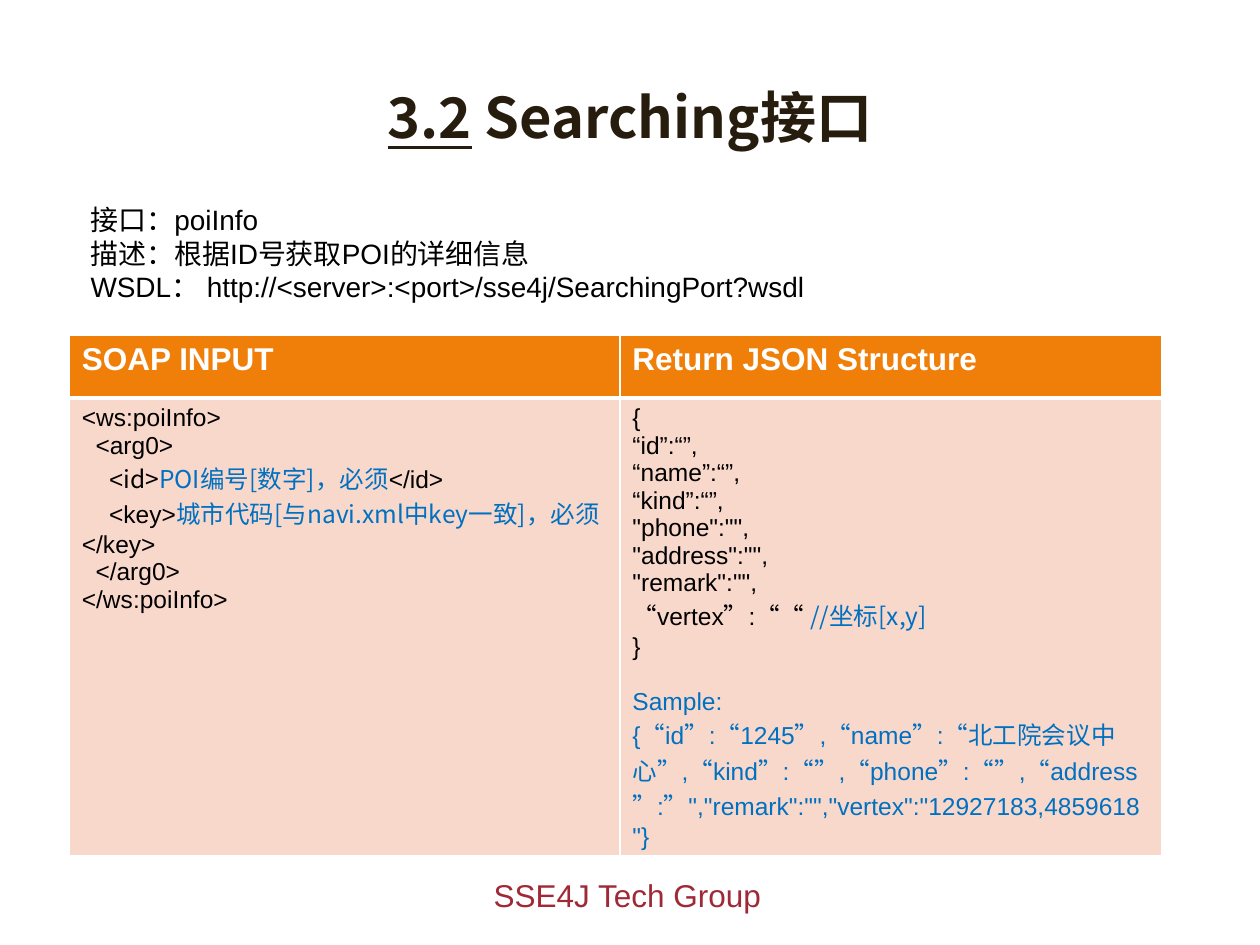
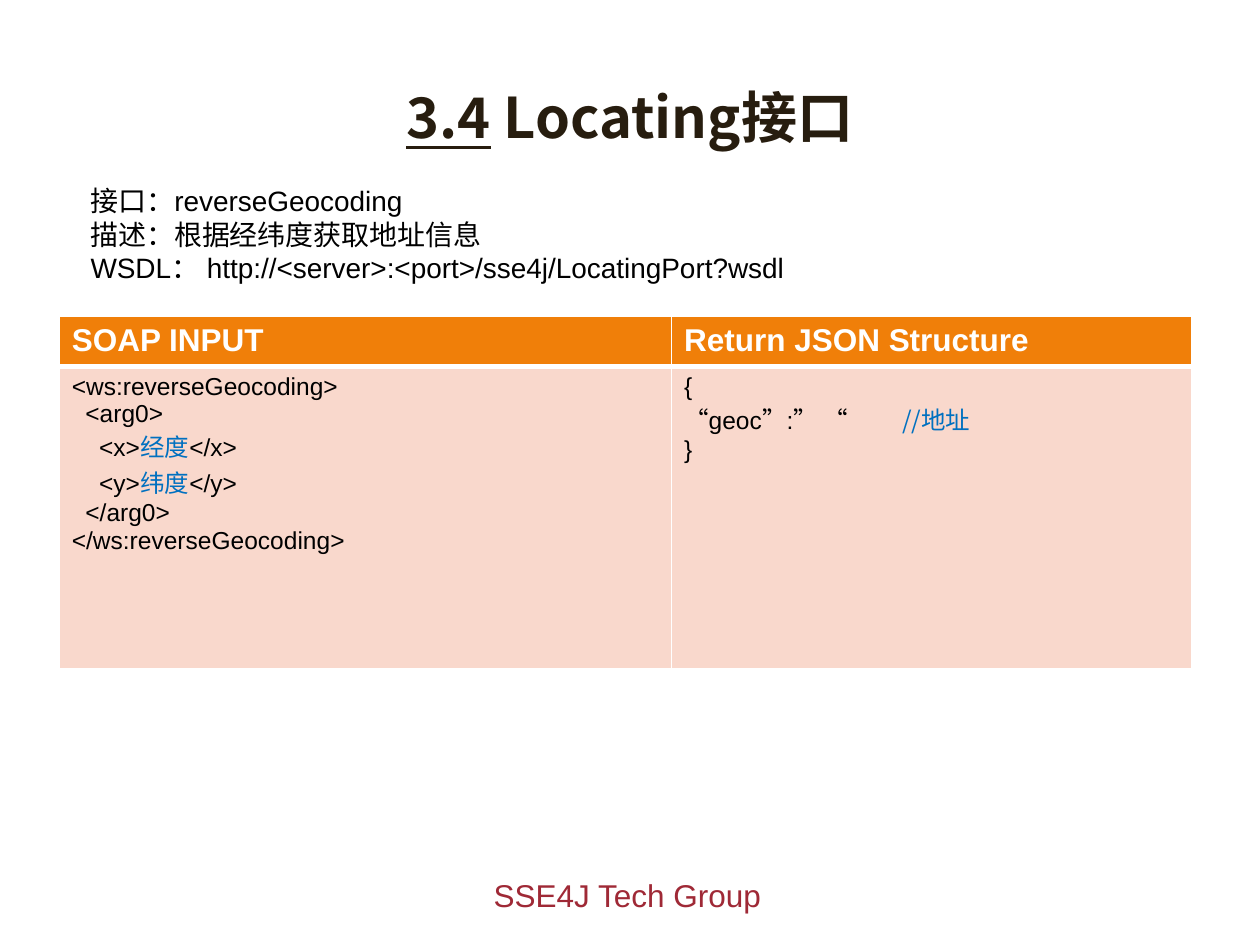
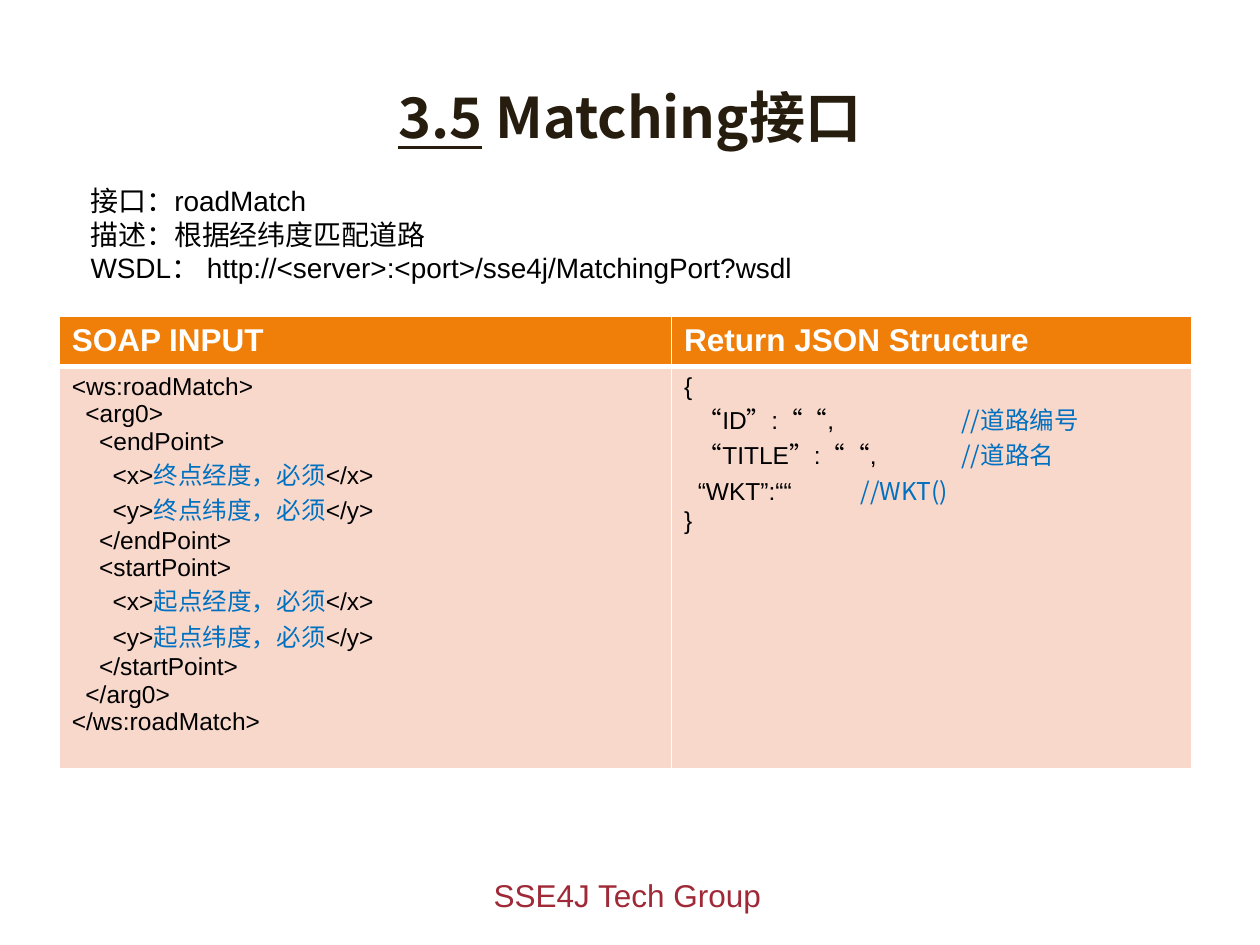
from dataclasses import dataclass, field

import lxml.etree
import pptx
import pptx.dml.color
import pptx.enum.text
import pptx.oxml.ns
import pptx.util

Inches = pptx.util.Inches
Pt = pptx.util.Pt
qn = pptx.oxml.ns.qn

# Shared look
LATIN, CJK = "Arial", "Noto Sans CJK SC"
BLACK, WHITE, BLUE = "000000", "FFFFFF", "0070C0"
TITLE_COLOR, FOOTER_COLOR = "271D0F", "9F2936"
HEAD_FILL, BODY_FILL = "F07F09", "F9D8CC"
HEADINGS = ("SOAP INPUT", "Return JSON Structure")
FOOTER = "SSE4J Tech Group"


@dataclass
class Run:
    text: str
    color: str = BLACK
    font: str = LATIN


@dataclass
class Line:
    runs: list[Run]
    tab: float = 0  # position of the comment's tab stop, in inches
    before: float = 0  # space before, in points


@dataclass
class Api:
    number: str
    service: str
    method: str
    description: str
    info_top: float
    table_at: tuple[float, float]
    columns: tuple[float, float]
    rows: tuple[float, float]
    request: list[Line] = field(default_factory=list)
    response: list[Line] = field(default_factory=list)


def rgb(color: str) -> pptx.dml.color.RGBColor:
    return pptx.dml.color.RGBColor.from_string(color)


def add_run(p, text: str, *, size: float, color: str = BLACK, font: str = LATIN,
            ea: str = CJK, bold: bool = False, underline: bool = False) -> None:
    r = p.add_run()
    r.text = text
    r.font.size = Pt(size)
    r.font.bold = bold
    r.font.underline = underline
    r.font.color.rgb = rgb(color)
    r.font.name = font
    lxml.etree.SubElement(r.font._element, qn("a:ea"), typeface=ea)


def add_box(slide, left: float, top: float, width: float, height: float,
            wrap: bool = True):
    sp = slide.shapes.add_textbox(Inches(left), Inches(top), Inches(width), Inches(height))
    sp.text_frame.word_wrap = wrap
    return sp.text_frame


def next_paragraph(tf, index: int):
    return tf.add_paragraph() if index else tf.paragraphs[0]


def code(*texts: str) -> list[Line]:
    return [Line([Run(text)]) for text in texts]


def element(opening: str, note: str, closing: str) -> Line:
    """An XML element whose content is a blue explanation."""
    return Line([Run(opening), Run(note, BLUE, CJK), Run(closing)])


def commented(text: str, comment: str, tab: float = 0) -> Line:
    gap = "\t" if tab else " "
    return Line([Run(text + gap), Run(comment, BLUE, CJK)], tab)


def point(tag: str, name: str) -> list[Line]:
    return [*code(f"    <{tag}>"),
            element("      <x>", f"{name}经度，必须", "</x>"),
            element("      <y>", f"{name}纬度，必须", "</y>"),
            *code(f"    </{tag}>")]


def request(method: str, *args: Line) -> list[Line]:
    return [*code(f"<ws:{method}>", "  <arg0>"), *args,
            *code("  </arg0>", f"</ws:{method}>")]


def style_cell(cell, fill: str, top: float, bottom: float) -> None:
    tc_pr = cell._tc.get_or_add_tcPr()
    for side, width in (("L", 1), ("R", 1), ("T", top), ("B", bottom)):
        ln = lxml.etree.SubElement(tc_pr, qn(f"a:ln{side}"), w=str(Pt(width)))
        solid = lxml.etree.SubElement(ln, qn("a:solidFill"))
        lxml.etree.SubElement(solid, qn("a:srgbClr"), val=WHITE)
    cell.fill.solid()
    cell.fill.fore_color.rgb = rgb(fill)


def write_lines(tf, lines: list[Line]) -> None:
    for i, line in enumerate(lines):
        p = next_paragraph(tf, i)
        if line.before:
            p.space_before = Pt(line.before)
        if line.tab:
            tabs = lxml.etree.SubElement(p._p.get_or_add_pPr(), qn("a:tabLst"))
            lxml.etree.SubElement(tabs, qn("a:tab"), pos=str(Inches(line.tab)), algn="l")
        for run in line.runs:
            add_run(p, run.text, size=14, color=run.color, font=run.font)


def add_api_table(slide, api: Api) -> None:
    left, top = api.table_at
    frame = slide.shapes.add_table(2, 2, Inches(left), Inches(top),
                                   Inches(sum(api.columns)), Inches(sum(api.rows)))
    table = frame.table
    for row, height in zip(table.rows, api.rows):
        row.height = Inches(height)
    for i, lines in enumerate((api.request, api.response)):
        table.columns[i].width = Inches(api.columns[i])
        head, body = table.cell(0, i), table.cell(1, i)
        style_cell(head, HEAD_FILL, 1, 3)
        style_cell(body, BODY_FILL, 3, 1)
        add_run(head.text_frame.paragraphs[0], HEADINGS[i], size=18, color=WHITE, bold=True)
        write_lines(body.text_frame, lines)


def add_api_slide(prs, api: Api) -> None:
    slide = prs.slides.add_slide(prs.slide_layouts[6])

    # Footer
    tf = add_box(slide, 3.82, 6.9, 2.35, 0.4, wrap=False)
    add_run(tf.paragraphs[0], FOOTER, size=18, color=FOOTER_COLOR)

    # Title
    tf = add_box(slide, 0.5, 0.3, 9, 1.25)
    tf.vertical_anchor = pptx.enum.text.MSO_ANCHOR.MIDDLE
    p = tf.paragraphs[0]
    p.alignment = pptx.enum.text.PP_ALIGN.CENTER
    for text, underline in ((api.number, True), (f" {api.service}接口", False)):
        add_run(p, text, size=32, color=TITLE_COLOR, font=CJK, bold=True, underline=underline)

    # Input and output table
    add_api_table(slide, api)

    # Interface summary
    tf = add_box(slide, 0.62, api.info_top, 8.52, 0.9)
    summary = (f"接口：{api.method}", f"描述：{api.description}",
               f"WSDL： http://<server>:<port>/sse4j/{api.service}Port?wsdl")
    for i, text in enumerate(summary):
        add_run(next_paragraph(tf, i), text, size=16, ea=LATIN)


SAMPLE = ('{“id”:“1245”,“name”:“北工院会议中心”,“kind”:“”,“phone”:“”,'
          '“address”:”","remark":"","vertex":"12927183,4859618"}')
LOWER_TABLE = dict(info_top=1.41, table_at=(0.47, 2.51), columns=(4.86, 4.13))

APIS = [
    Api("3.2", "Searching", "poiInfo", "根据ID号获取POI的详细信息",
        info_top=1.56, table_at=(0.55, 2.66), columns=(4.37, 4.3), rows=(0.5, 3.63),
        request=request(
            "poiInfo",
            Line([Run("    <"), Run("id>", font=CJK),
                  Run("POI编号[数字]，必须", BLUE, CJK), Run("</id>")]),
            element("    <key>", "城市代码[与navi.xml中key一致]，必须", "</key>")),
        response=[
            *code("{", "“id”:“”,", "“name”:“”,", "“kind”:“”,",
                  '"phone":"",', '"address":"",', '"remark":"",'),
            commented("“vertex”:““", "//坐标[x,y]"),
            *code("}"),
            Line([Run("Sample:", BLUE)], before=16),
            Line([Run(SAMPLE, BLUE)])]),
    Api("3.4", "Locating", "reverseGeocoding", "根据经纬度获取地址信息",
        **LOWER_TABLE, rows=(0.39, 2.4),
        request=request("reverseGeocoding",
                        element("    <x>", "经度", "</x>"),
                        element("    <y>", "纬度", "</y>")),
        response=[*code("{"), commented("“geoc”:” “", "//地址", 1.73), *code("}")]),
    Api("3.5", "Matching", "roadMatch", "根据经纬度匹配道路",
        **LOWER_TABLE, rows=(0.39, 3.19),
        request=request("roadMatch", *point("endPoint", "终点"), *point("startPoint", "起点")),
        response=[*code("{"),
                  commented("  “ID”:““,", "//道路编号", 2.2),
                  commented("  “TITLE”:““,", "//道路名", 2.2),
                  commented("  “WKT”:““", "//WKT()", 1.4),
                  *code("}")]),
]


def main() -> None:
    prs = pptx.Presentation()
    prs.slide_width, prs.slide_height = Inches(10), Inches(7.5)
    for api in APIS:
        add_api_slide(prs, api)
    prs.save("out.pptx")


if __name__ == "__main__":
    main()
